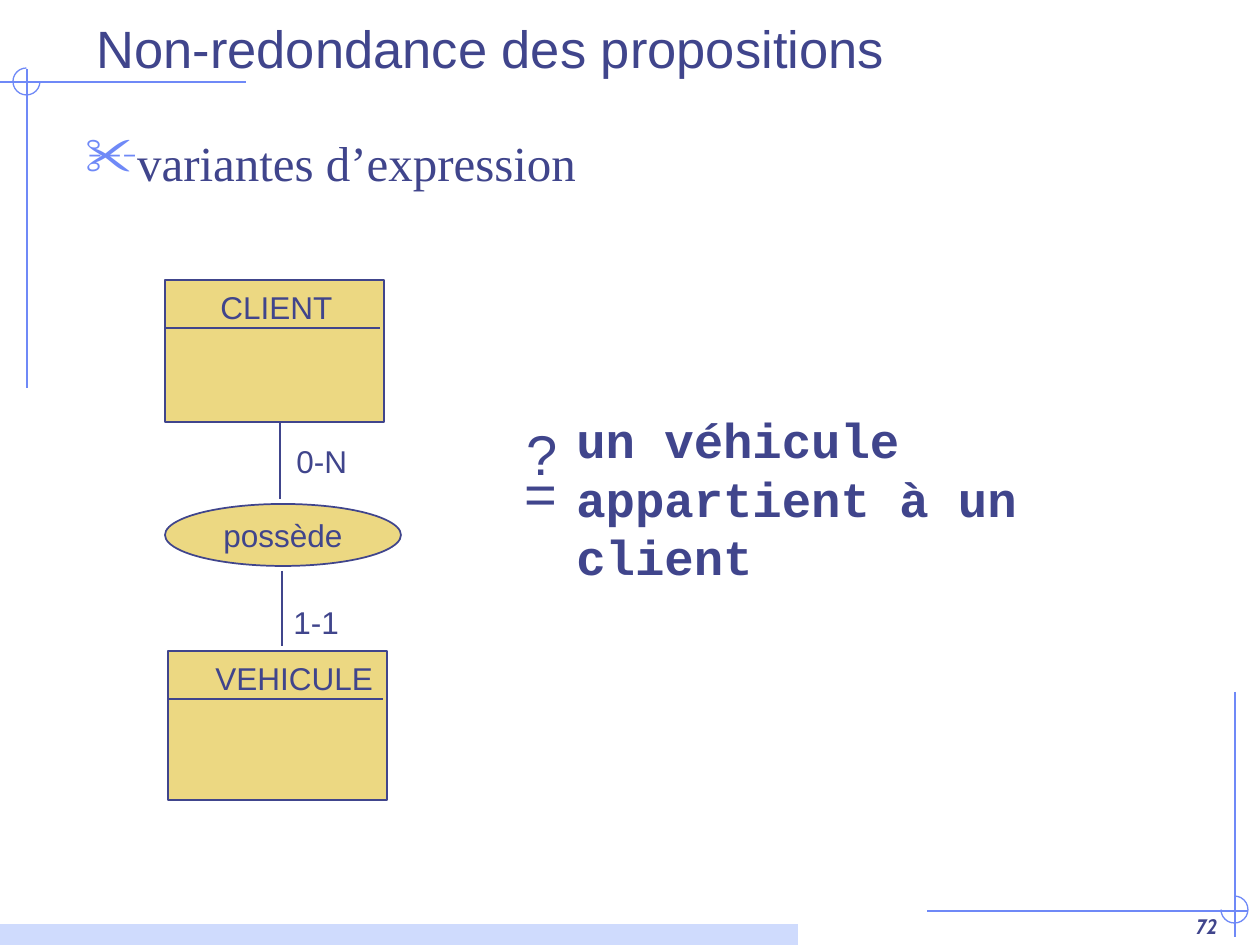
from lxml import etree
from pptx import Presentation
from pptx.dml.color import RGBColor
from pptx.enum.shapes import MSO_CONNECTOR, MSO_SHAPE
from pptx.enum.text import MSO_ANCHOR, MSO_AUTO_SIZE, PP_ALIGN
from pptx.oxml.ns import qn
from pptx.util import Emu, Pt

STRAIGHT = MSO_CONNECTOR.STRAIGHT
RECTANGLE, OVAL, ARC = MSO_SHAPE.RECTANGLE, MSO_SHAPE.OVAL, MSO_SHAPE.ARC
TOP, MIDDLE, BOTTOM = MSO_ANCHOR.TOP, MSO_ANCHOR.MIDDLE, MSO_ANCHOR.BOTTOM
LEFT, CENTER, RIGHT, JUSTIFY = PP_ALIGN.LEFT, PP_ALIGN.CENTER, PP_ALIGN.RIGHT, PP_ALIGN.JUSTIFY
FIT, FIXED = MSO_AUTO_SIZE.SHAPE_TO_FIT_TEXT, MSO_AUTO_SIZE.NONE

SCALE = 914400 / 126
INK, RULE, BAND, SAND = "40458C", "6F89F7", "CFDBFD", "ECD882"
ARC_END = 162

LABEL = {"name": "Arial", "size": Pt(18)}
SIGN = {"name": "Arial", "size": Pt(32)}
TITLE = {"name": "Arial", "size": Pt(30)}
TOPIC = {"name": "Times New Roman", "size": Pt(28)}
CLAIM = {"name": "Courier New", "size": Pt(28), "bold": True}
NUMBER = {"name": "Cabin", "size": Pt(12), "bold": True, "italic": True}

corner_rules = [(246, 82, 0, 82), (27, 69, 27, 388), (1235, 692, 1235, 937), (1247, 911, 927, 911)]
corner_arcs = [((13, 68, 27, 27), 0), ((1221, 896, 27, 27), 270)]
footer_band = (0, 924, 798, 21)

entities = [
    ("CLIENT", (165, 280, 219, 142), (208, 282, 137, 50)),
    ("VEHICULE", (168, 651, 219, 149), (203, 653, 183, 50)),
]
HEADER_HEIGHT, HEADER_GAP = 48, 4
association = ("possède", (165, 504, 236, 62))
roles = [
    ("0-N", (284, 436, 76, 50), (280, 423, 280, 499)),
    ("1-1", (281, 597, 71, 50), (282, 571, 282, 646)),
]

framed_texts = [
    ("72", (968, 882, 262, 63), NUMBER, RIGHT, BOTTOM),
    ("Non-redondance des propositions", (84, 1, 1144, 84), TITLE, LEFT, BOTTOM),
]
topic = ("variantes d’expression", (73, 126, 1124, 757))
TOPIC_INDENT = 48
loose_texts = [
    ("un véhicule\vappartient à un client", (564, 403, 670, 131), CLAIM),
    ("=", (512, 452, 58, 81), SIGN),
    ("?", (514, 413, 57, 81), SIGN),
]


def px(length):
    return Emu(round(length * SCALE))


def color(value):
    return RGBColor.from_string(value)


def write(frame, words, font, align=LEFT, anchor=TOP, wrap=False, fit=FIXED):
    for key, value in {"word_wrap": wrap, "auto_size": fit, "vertical_anchor": anchor}.items():
        setattr(frame, key, value)
    paragraph = frame.paragraphs[0]
    paragraph.text = words
    paragraph.alignment = align
    for run in paragraph.runs:
        for key, value in font.items():
            setattr(run.font, key, value)
        run.font.color.rgb = color(INK)
    return paragraph


def add_text(slide, words, box, font, **layout):
    frame = slide.shapes.add_textbox(*map(px, box)).text_frame
    return write(frame, words, font, **layout)


def add_line(slide, ends, stroke, width):
    line = slide.shapes.add_connector(STRAIGHT, *map(px, ends))
    line.line.color.rgb = color(stroke)
    line.line.width = Pt(width)
    etree.SubElement(line._element.spPr, qn("a:effectLst"))


def add_figure(slide, preset, box, fill=None, stroke=None, width=1):
    figure = slide.shapes.add_shape(preset, *map(px, box))
    figure.shadow.inherit = False
    if fill:
        figure.fill.solid()
        figure.fill.fore_color.rgb = color(fill)
    else:
        figure.fill.background()
    if stroke:
        figure.line.color.rgb = color(stroke)
        figure.line.width = Pt(width)
    else:
        figure.line.fill.background()
    return figure


def add_bullet(paragraph, symbol, indent):
    properties = paragraph._p.get_or_add_pPr()
    properties.set("marL", str(px(indent)))
    properties.set("indent", str(-px(indent)))
    tint = etree.SubElement(properties, qn("a:buClr"))
    etree.SubElement(tint, qn("a:srgbClr"), val=RULE)
    etree.SubElement(properties, qn("a:buSzPct"), val="110000")
    etree.SubElement(properties, qn("a:buChar"), char=symbol)


def main():
    deck = Presentation()
    deck.slide_width, deck.slide_height = px(1260), px(945)
    slide = deck.slides.add_slide(deck.slide_layouts[6])

    for ends in corner_rules:
        add_line(slide, ends, RULE, 0.75)
    for box, turn in corner_arcs:
        arc = add_figure(slide, ARC, box, stroke=RULE, width=0.75)
        arc.adjustments[0], arc.adjustments[1] = 0, ARC_END
        arc.rotation = turn
    add_figure(slide, RECTANGLE, footer_band, fill=BAND)

    for words, box, font, align, anchor in framed_texts:
        add_text(slide, words, box, font, align=align, anchor=anchor, wrap=True)
    words, box = topic
    add_bullet(add_text(slide, words, box, TOPIC, align=JUSTIFY, wrap=True), "✂", TOPIC_INDENT)

    for name, box, name_box in entities:
        left, top, width, _ = box
        header = top + HEADER_HEIGHT
        add_figure(slide, RECTANGLE, box, SAND, INK)
        add_line(slide, (left, header, left + width - HEADER_GAP, header), INK, 1)
        add_text(slide, name, name_box, LABEL, fit=FIT)

    name, box = association
    write(add_figure(slide, OVAL, box, SAND, INK).text_frame, name, LABEL, CENTER, MIDDLE)
    for cardinality, box, ends in roles:
        add_line(slide, ends, INK, 1)
        add_text(slide, cardinality, box, LABEL, fit=FIT)

    for words, box, font in loose_texts:
        add_text(slide, words, box, font, fit=FIT)

    deck.save("out.pptx")


if __name__ == "__main__":
    main()
